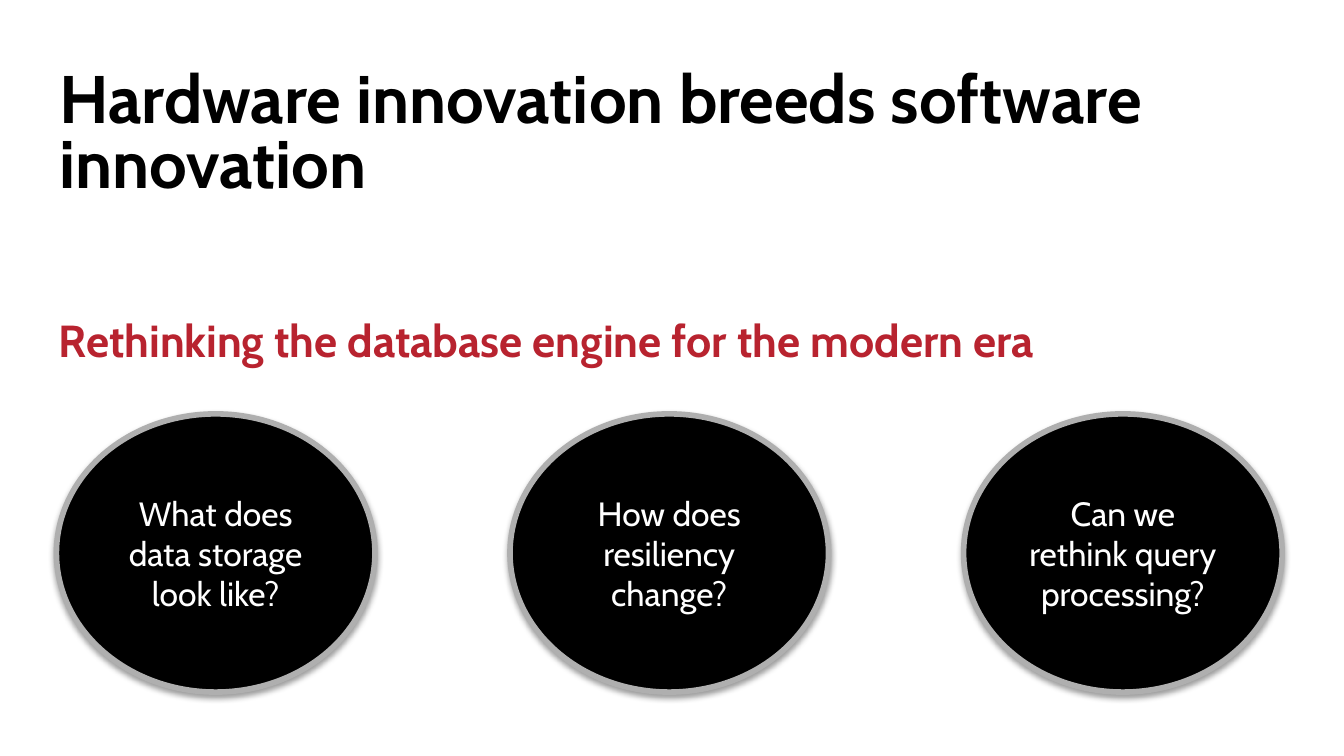
from lxml import etree
from pptx import Presentation
from pptx.dml.color import RGBColor
from pptx.enum.shapes import MSO_SHAPE
from pptx.enum.text import MSO_ANCHOR, PP_ALIGN
from pptx.oxml.ns import qn
from pptx.util import Inches, Pt

DISC = MSO_SHAPE.FLOWCHART_CONNECTOR
TOP, MIDDLE = MSO_ANCHOR.TOP, MSO_ANCHOR.MIDDLE
LEFT, CENTER = PP_ALIGN.LEFT, PP_ALIGN.CENTER

TITLE = "Hardware innovation breeds software innovation"
LEAD = "Rethinking the database engine for the modern era"
ASKS = [
    "What does data storage look like?",
    "How does resiliency change?",
    "Can we rethink query processing?",
]

COLORS = {"black": "000000", "red": "B8232F", "gray": "AFAFAF", "white": "FFFFFF"}
STYLES = {
    "title": ({"size": Pt(36), "bold": True}, "black", LEFT, TOP),
    "lead": ({"size": Pt(24), "bold": True}, "red", LEFT, TOP),
    "ask": ({"size": Pt(18), "bold": False}, "white", CENTER, MIDDLE),
}
FONT = "Cabin"

WIDE = 10
HIGH = WIDE * 9 / 16
EDGE, SPAN = 0.34, 9.28
START, END = 0.42, 9.54
DISC_TOP, DISC_W, DISC_H = 3.08, 2.37, 2.07
STEP = (END - START - DISC_W) / (len(ASKS) - 1)


def color(name):
    return RGBColor.from_string(COLORS[name])


def write(shape, text, style):
    form, ink, align, anchor = STYLES[style]
    frame = shape.text_frame
    frame.word_wrap = True
    frame.vertical_anchor = anchor
    para = frame.paragraphs[0]
    para.text = text
    para.alignment = align
    font = para.runs[0].font
    for key, value in {"name": FONT, **form}.items():
        setattr(font, key, value)
    font.color.rgb = color(ink)
    return para


def shade(shape):
    """Give the shape a soft shadow straight below it."""
    shape.shadow.inherit = False
    effects = shape.element.spPr.find(qn("a:effectLst"))
    outer = etree.SubElement(
        effects, qn("a:outerShdw"), blurRad=str(Pt(3.1)), dist=str(Pt(1.6)),
        dir=str(90 * 60000), rotWithShape="0")
    tint = etree.SubElement(outer, qn("a:srgbClr"), val=COLORS["black"])
    etree.SubElement(tint, qn("a:alpha"), val="38000")


def add_disc(slide, col, text):
    box = (START + col * STEP, DISC_TOP, DISC_W, DISC_H)
    disc = slide.shapes.add_shape(DISC, *map(Inches, box))
    disc.fill.solid()
    disc.fill.fore_color.rgb = color("black")
    disc.line.color.rgb = color("gray")
    disc.line.width = Pt(3)
    shade(disc)
    write(disc, text, "ask")


def main():
    deck = Presentation()
    deck.slide_width, deck.slide_height = Inches(WIDE), Inches(HIGH)
    slide = deck.slides.add_slide(deck.slide_layouts[5])

    title = slide.shapes.title
    place = {"left": EDGE, "top": 0.48, "width": SPAN, "height": 0.67}
    for key, value in place.items():
        setattr(title, key, Inches(value))
    write(title, TITLE, "title").line_spacing = Pt(35)

    lead = slide.shapes.add_textbox(*map(Inches, (EDGE, 2.28, SPAN, 0.43)))
    write(lead, LEAD, "lead")

    for col, text in enumerate(ASKS):
        add_disc(slide, col, text)
    deck.save("out.pptx")


if __name__ == "__main__":
    main()
